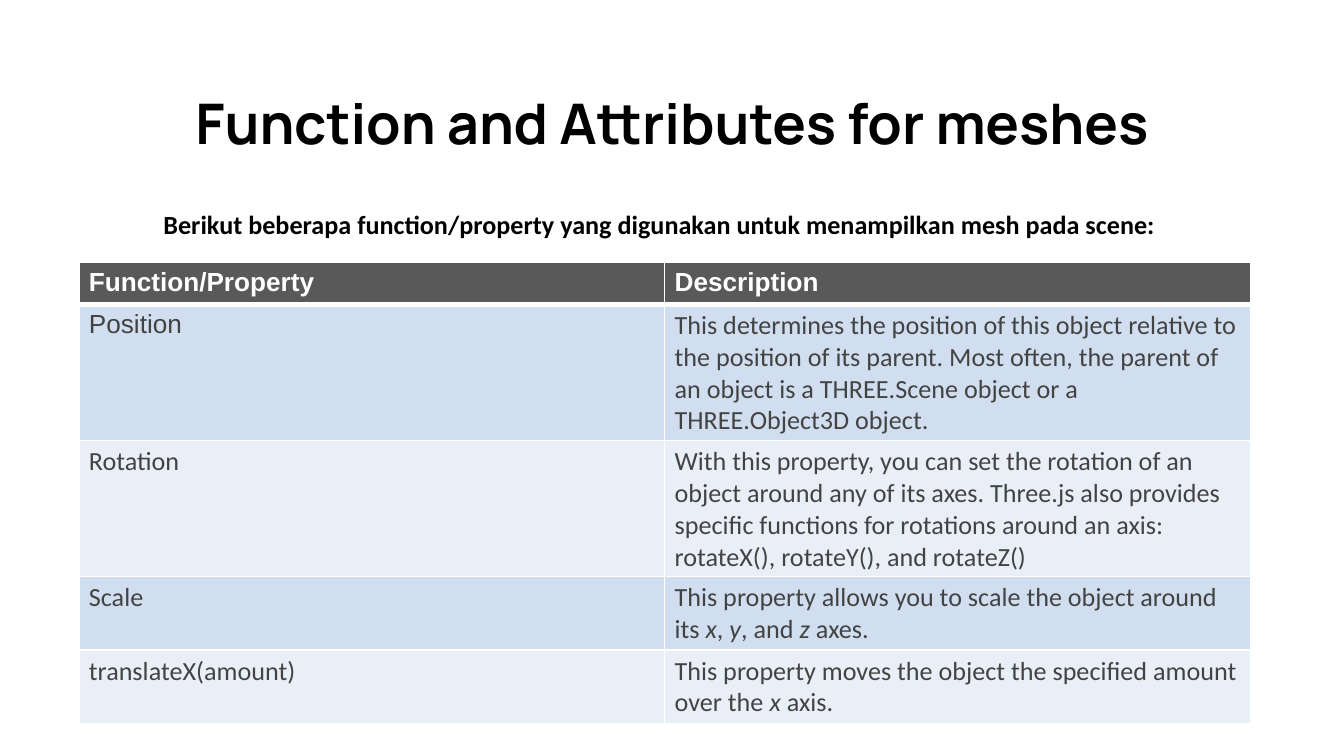
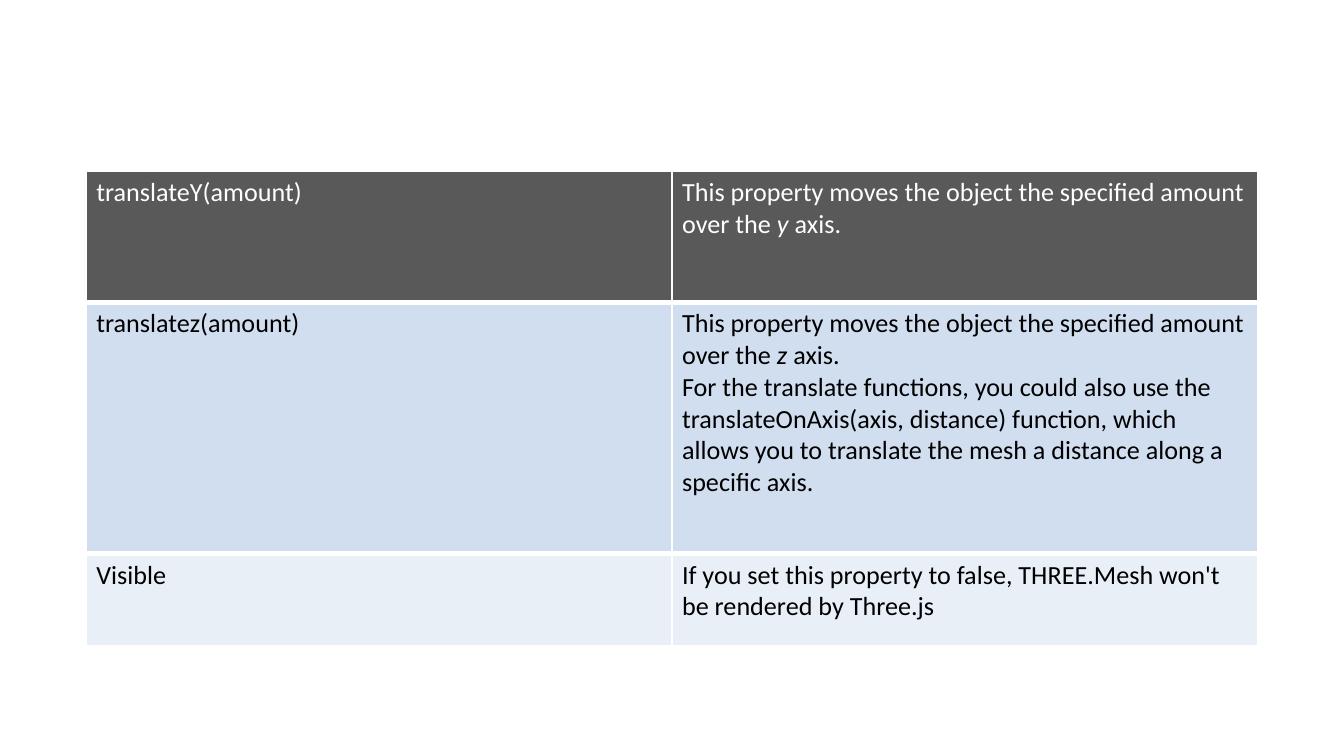
"""Build two slides that list the functions and attributes of meshes."""
from dataclasses import dataclass

from lxml import etree
from pptx import Presentation
from pptx.dml.color import RGBColor
from pptx.enum.text import MSO_ANCHOR, PP_ALIGN
from pptx.oxml.ns import qn
from pptx.util import Cm, Pt

LEFT = PP_ALIGN.LEFT
CENTER = PP_ALIGN.CENTER
TOP = MSO_ANCHOR.TOP
BLANK_LAYOUT = 6


@dataclass(frozen=True)
class Theme:
    """Colours, fonts and sizes shared by the slides."""
    black: str = "000000"
    white: str = "FFFFFF"
    grey: str = "434343"
    header: str = "595959"
    bands: tuple = ("D0DEEF", "E9EFF7")
    title_font: str = "Manrope"
    body_font: str = "Calibri"
    table_font: str = "Arial"
    title_size: int = 30
    body_size: int = 14
    thin: int = 1
    thick: int = 3


@dataclass(frozen=True)
class Row:
    """One table row: cell texts, height in cm and exceptions to the body style."""
    texts: tuple
    height: float = 0.76
    fonts: tuple = (Theme.body_font, Theme.body_font)
    bold: bool = False
    thick_bottom: bool = False


class Deck:
    """Holds the theme and the current slide, and draws elements on it."""

    def __init__(self, theme):
        self.theme = theme
        self.presentation = Presentation()
        self.presentation.slide_width = Cm(25.4)
        self.presentation.slide_height = Cm(14.29)
        self.slide = None

    def new_slide(self):
        """Start a blank white slide."""
        layout = self.presentation.slide_layouts[BLANK_LAYOUT]
        self.slide = self.presentation.slides.add_slide(layout)
        fill = self.slide.background.fill
        fill.solid()
        fill.fore_color.rgb = RGBColor.from_string(self.theme.white)

    def add_text(self, frame, text, font, size, color, bold=False, align=LEFT, spacing=1.0):
        """Add lines as paragraphs, with the parts between asterisks in italics."""
        for index, line in enumerate(text.split("\n")):
            paragraph = frame.add_paragraph() if index else frame.paragraphs[0]
            paragraph.alignment = align
            paragraph.line_spacing = spacing
            for number, part in enumerate(line.split("*")):
                run = paragraph.add_run()
                run.text = part
                run.font.name = font
                run.font.size = Pt(size)
                run.font.bold = bold
                run.font.italic = number % 2 == 1
                run.font.color.rgb = RGBColor.from_string(color)

    def text_box(self, left, top, width, height, text, font, size, **style):
        """Add a wrapped bold text box."""
        shape = self.slide.shapes.add_textbox(Cm(left), Cm(top), Cm(width), Cm(height))
        frame = shape.text_frame
        frame.word_wrap = True
        frame.vertical_anchor = TOP
        frame.margin_left = frame.margin_right = Cm(0.25)
        frame.margin_top = frame.margin_bottom = Cm(0.25)
        self.add_text(frame, text, font, size, self.theme.black, bold=True, **style)

    def title(self, text):
        """Add the slide title."""
        self.text_box(3, 1.57, 19.41, 2.03, text, self.theme.title_font,
                      self.theme.title_size, align=CENTER, spacing=0.9)

    def body(self, text):
        """Add the body text under the title."""
        self.text_box(2.84, 3.61, 20.68, 10.03, text, self.theme.body_font,
                      self.theme.body_size, spacing=1.15)

    def borders(self, cell, top, bottom):
        """Draw white cell borders with the given top and bottom widths."""
        thin = self.theme.thin
        widths = {"a:lnL": thin, "a:lnR": thin, "a:lnT": top, "a:lnB": bottom}
        properties = cell._tc.get_or_add_tcPr()
        for index, (tag, width) in enumerate(widths.items()):
            line = etree.Element(qn(tag), w=str(Pt(width)))
            fill = etree.SubElement(line, qn("a:solidFill"))
            etree.SubElement(fill, qn("a:srgbClr"), val=self.theme.white)
            properties.insert(index, line)

    def table(self, left, top, rows, body_color):
        """Add a two-column table with a dark first row and banded body rows."""
        theme = self.theme
        width, height = 22.14, sum(row.height for row in rows)
        table = self.slide.shapes.add_table(
            len(rows), 2, Cm(left), Cm(top), Cm(width), Cm(height)).table
        table.first_row = table.horz_banding = False
        for column in table.columns:
            column.width = Cm(width / 2)
        top_border = theme.thin
        for index, row in enumerate(rows):
            table.rows[index].height = Cm(row.height)
            fill = theme.bands[(index - 1) % 2] if index else theme.header
            color = body_color if index else theme.white
            bottom_border = theme.thick if row.thick_bottom else theme.thin
            for column, (text, font) in enumerate(zip(row.texts, row.fonts)):
                cell = table.cell(index, column)
                cell.margin_left = cell.margin_right = Cm(0.19)
                cell.margin_top = cell.margin_bottom = Cm(0.1)
                cell.fill.solid()
                cell.fill.fore_color.rgb = RGBColor.from_string(fill)
                self.borders(cell, top_border, bottom_border)
                self.add_text(cell.text_frame, text, font, theme.body_size, color, row.bold)
            top_border = bottom_border


def moves_along(axis):
    """Describe a translate function for one axis."""
    return f"This property moves the object the specified amount over the *{axis} *axis."


def main():
    """Build both slides and save them."""
    theme = Theme()
    deck = Deck(theme)

    deck.new_slide()
    deck.body("Berikut beberapa function/property yang digunakan untuk "
              "menampilkan mesh pada scene:")
    deck.title("Function and Attributes for meshes")
    deck.table(1.49, 4.96, [
        Row(("Function/Property", "Description"),
            fonts=(theme.table_font, theme.table_font), bold=True, thick_bottom=True),
        Row(("Position",
             "This determines the position of this object relative to the position of "
             "its parent. Most often, the parent of an object is a THREE.Scene object "
             "or a THREE.Object3D object."),
            fonts=(theme.table_font, theme.body_font)),
        Row(("Rotation",
             "With this property, you can set the rotation of an object around any of "
             "its axes. Three.js also provides specific functions for rotations around "
             "an axis: rotateX(), rotateY(), and rotateZ()")),
        Row(("Scale",
             "This property allows you to scale the object around its "
             "*x*, *y*, and *z *axes.")),
        Row(("translateX(amount)", moves_along("x"))),
    ], theme.grey)

    deck.new_slide()
    deck.table(1.63, 3.24, [
        Row(("translateY(amount)", moves_along("y")), height=2.48, thick_bottom=True),
        Row(("translatez(amount)",
             moves_along("z") + "\nFor the translate functions, you could also use the "
             "translateOnAxis(axis, distance) function, which allows you to translate "
             "the mesh a distance along a specific axis."),
            height=4.75, thick_bottom=True),
        Row(("Visible",
             "If you set this property to false, THREE.Mesh won't be rendered by Three.js"),
            height=1.74),
    ], theme.black)

    deck.presentation.save("out.pptx")


if __name__ == "__main__":
    main()
